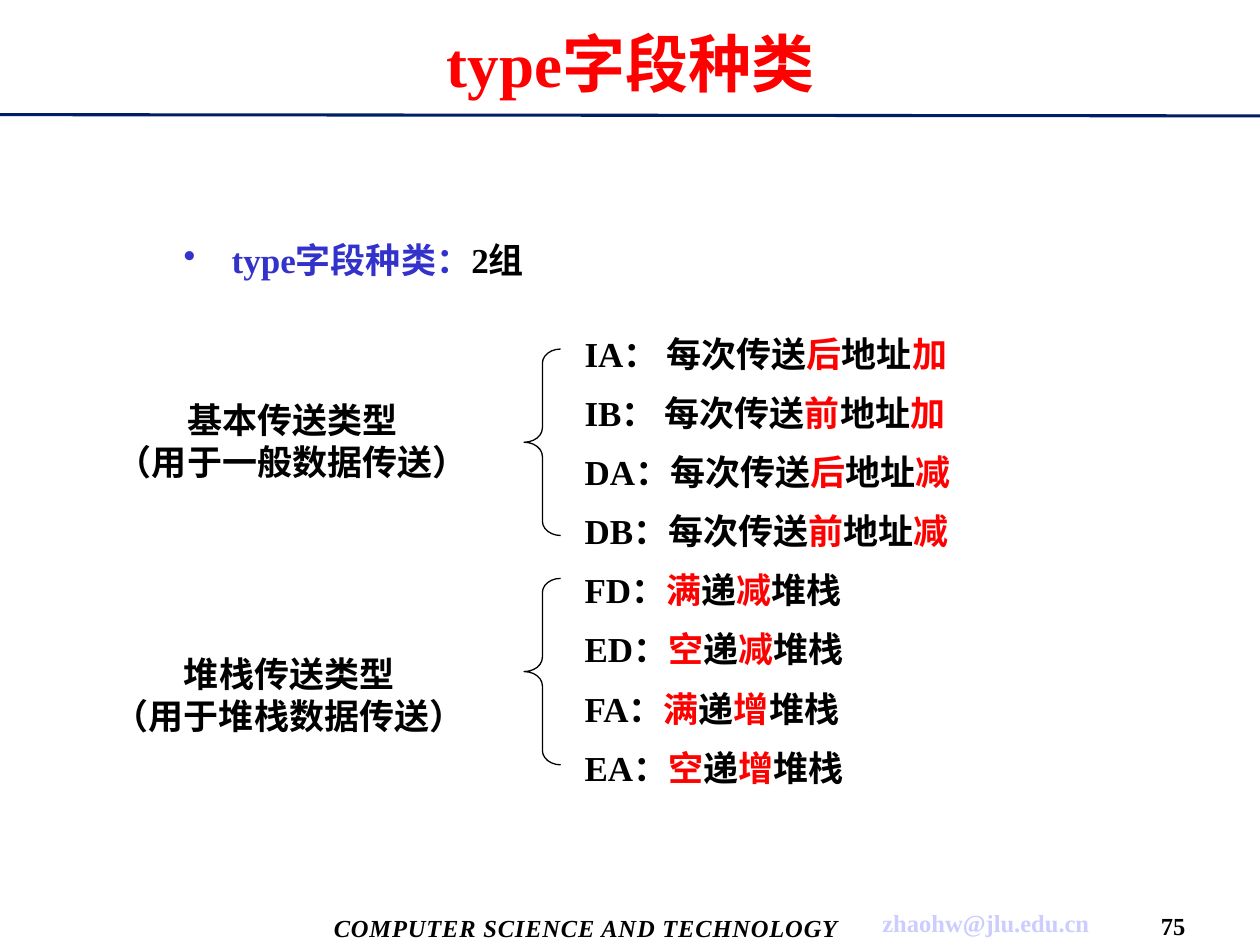
from pptx import Presentation
from pptx.dml.color import RGBColor
from pptx.enum.shapes import MSO_CONNECTOR, MSO_SHAPE
from pptx.enum.text import MSO_ANCHOR, MSO_AUTO_SIZE, PP_ALIGN
from pptx.oxml.ns import qn
from pptx.util import Inches, Pt
from lxml import etree

LEFT, CENTER = PP_ALIGN.LEFT, PP_ALIGN.CENTER
TOP, MIDDLE = MSO_ANCHOR.TOP, MSO_ANCHOR.MIDDLE
NO_AUTOFIT = MSO_AUTO_SIZE.NONE
STRAIGHT = MSO_CONNECTOR.STRAIGHT
LEFT_BRACE = MSO_SHAPE.LEFT_BRACE

BLACK, RED, BLUE = "000000", "FF0000", "3333CC"
NAVY, LAVENDER = "001E64", "CCCCFF"

GROUPS = [
    ("基本传送类型", "（用于一般数据传送）",
     ["IA： 每次传送*后*地址*加*", "IB： 每次传送*前*地址*加*",
      "DA：每次传送*后*地址*减*", "DB：每次传送*前*地址*减*"]),
    ("堆栈传送类型", "（用于堆栈数据传送）",
     ["FD：*满*递*减*堆栈", "ED：*空*递*减*堆栈",
      "FA：*满*递*增*堆栈", "EA：*空*递*增*堆栈"]),
]


def rgb(value):
    return RGBColor.from_string(value)


def set_hanging(paragraph, bullet=None, color=BLACK):
    """Indent the text by 0.38 in, with a coloured bullet in the margin or none."""
    props = paragraph._p.get_or_add_pPr()
    props.set("marL", str(Inches(0.38)))
    props.set("indent", str(Inches(-0.38) if bullet else 0))
    if bullet:
        tint = etree.SubElement(props, qn("a:buClr"))
        etree.SubElement(tint, qn("a:srgbClr"), val=color)
        etree.SubElement(props, qn("a:buChar"), char=bullet)
    else:
        etree.SubElement(props, qn("a:buNone"))


def write(frame, lines, size=20, color=BLACK, accent=RED, align=LEFT, anchor=TOP,
          italic=False, wrap=True, listed=False, bullet=None, tracking=0):
    """Fill a frame; parts of a line between asterisks take the accent colour."""
    frame.auto_size = NO_AUTOFIT
    frame.word_wrap = wrap
    frame.vertical_anchor = anchor
    for index, line in enumerate(lines):
        paragraph = frame.add_paragraph() if index else frame.paragraphs[0]
        paragraph.alignment = align
        paragraph.space_before = Pt(5 if listed and index else 0)
        paragraph.line_spacing = 1.2 if listed else 1.0
        if listed:
            set_hanging(paragraph, bullet, accent)
        for part, words in enumerate(line.split("*")):
            if not words:
                continue
            run = paragraph.add_run()
            run.text = words
            font = run.font
            font.name, font.size = "Times New Roman", Pt(size)
            font.bold, font.italic = True, italic
            font.color.rgb = rgb(accent if part % 2 else color)
            if tracking:
                run._r.get_or_add_rPr().set("spc", str(tracking))


class Page:
    """One slide on a grid of 100 columns and 75 rows."""

    def __init__(self, deck):
        self.column, self.row = deck.slide_width / 100, deck.slide_height / 75
        self.slide = deck.slides.add_slide(deck.slide_layouts[1])

    def place(self, left, top, width, height):
        return (round(left * self.column), round(top * self.row),
                round(width * self.column), round(height * self.row))

    def placeholder(self, index, area, lines, **style):
        holder = self.slide.placeholders[index]
        holder.left, holder.top, holder.width, holder.height = self.place(*area)
        write(holder.text_frame, lines, **style)

    def text(self, area, lines, **style):
        box = self.slide.shapes.add_textbox(*self.place(*area))
        write(box.text_frame, lines, **style)

    def rule(self, left, top, right, bottom):
        ends = self.place(left, top, right, bottom)
        line = self.slide.shapes.add_connector(STRAIGHT, *ends)
        line.line.color.rgb, line.line.width = rgb(NAVY), Pt(1.75)
        etree.SubElement(line._element.spPr, qn("a:effectLst"))

    def brace(self, area):
        brace = self.slide.shapes.add_shape(LEFT_BRACE, *self.place(*area))
        brace.shadow.inherit = False
        brace.adjustments[0] = 0.39
        brace.fill.background()
        brace.line.color.rgb, brace.line.width = rgb(BLACK), Pt(0.75)


def main():
    deck = Presentation()
    deck.slide_width, deck.slide_height = Inches(10), Inches(7.5)
    page = Page(deck)

    page.rule(0, 9.1, 100, 9.2)
    footer = {"size": 14, "align": CENTER, "anchor": MIDDLE, "wrap": False}
    page.text((26.5, 71.5, 40, 4.2), ["COMPUTER SCIENCE AND TECHNOLOGY"],
              italic=True, tracking=45, **footer)
    page.text((69.2, 71.4, 18.1, 3.6), ["zhaohw@jlu.edu.cn"], color=LAVENDER, **footer)
    page.text((90.9, 71.9, 4.4, 3.1), ["75"], **footer)

    page.placeholder(0, (3.2, 0.8, 93.7, 8.3), ["type字段种类"],
                     size=36, color=RED, align=CENTER, anchor=MIDDLE)
    page.text((13.6, 17.8, 44.5, 5.9), ["*type字段种类：*2组"],
              accent=BLUE, listed=True, bullet="•")
    page.placeholder(1, (41.6, 25.2, 44.5, 38.4),
                     [mode for _, _, modes in GROUPS for mode in modes], listed=True)

    label_areas = [(6.7, 31.1, 33, 7.7), (6.7, 51.3, 32.5, 7.7)]
    for index, ((name, purpose, _), area) in enumerate(zip(GROUPS, label_areas)):
        page.brace((41.6, 27.7 + 18.2 * index, 2.9, 14.8))
        page.text(area, [name, purpose], align=CENTER)

    deck.save("out.pptx")


if __name__ == "__main__":
    main()
